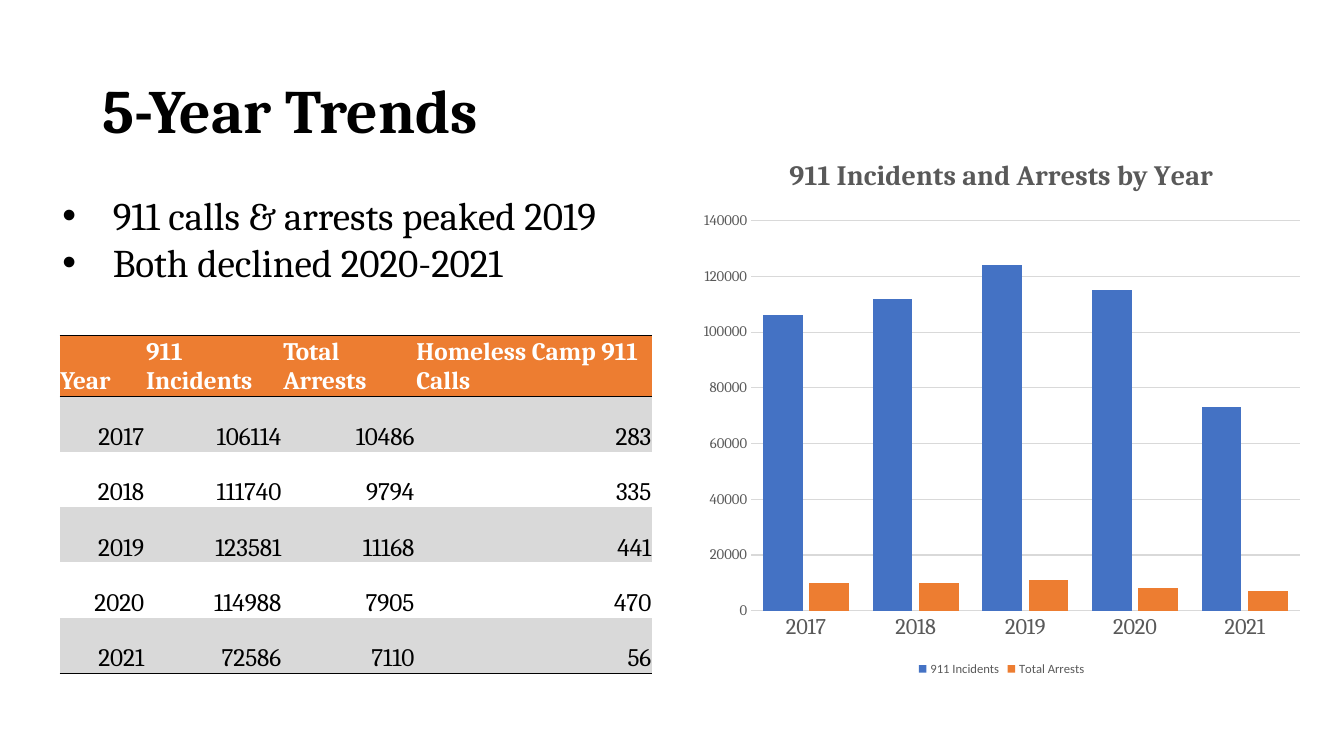
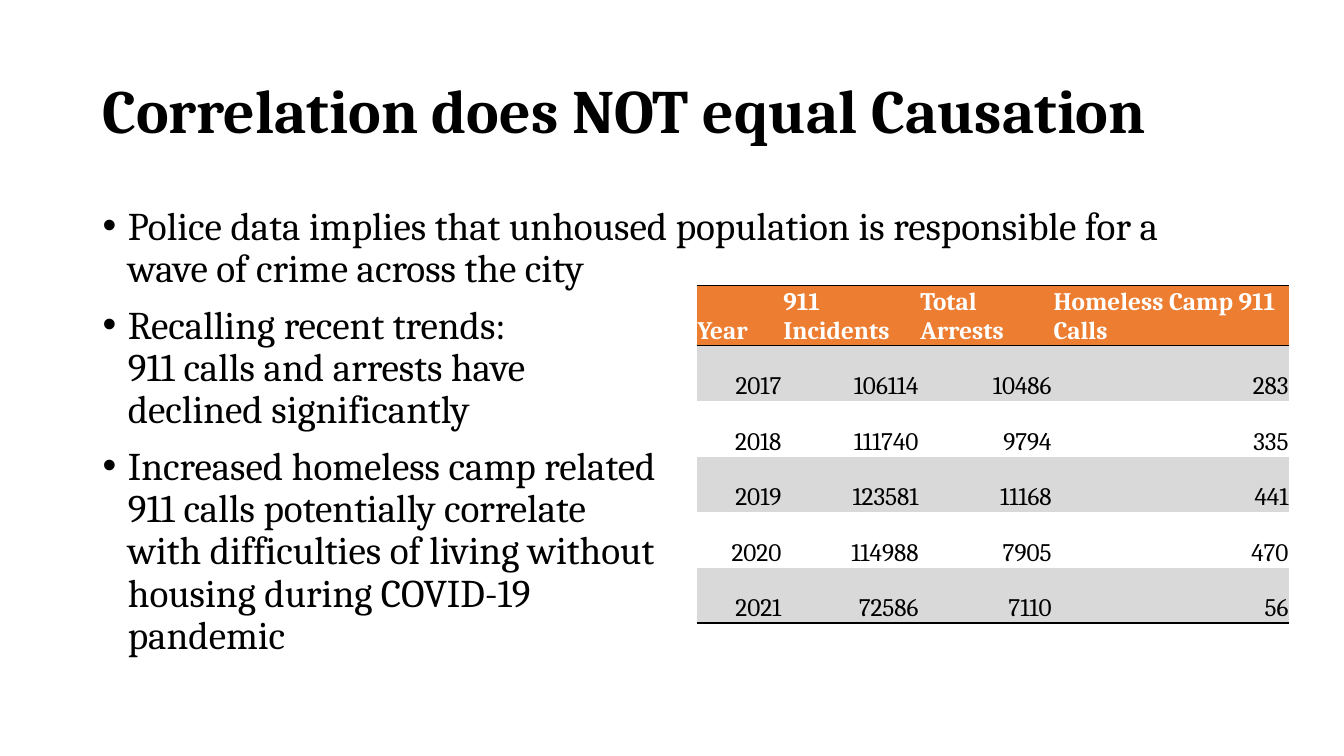
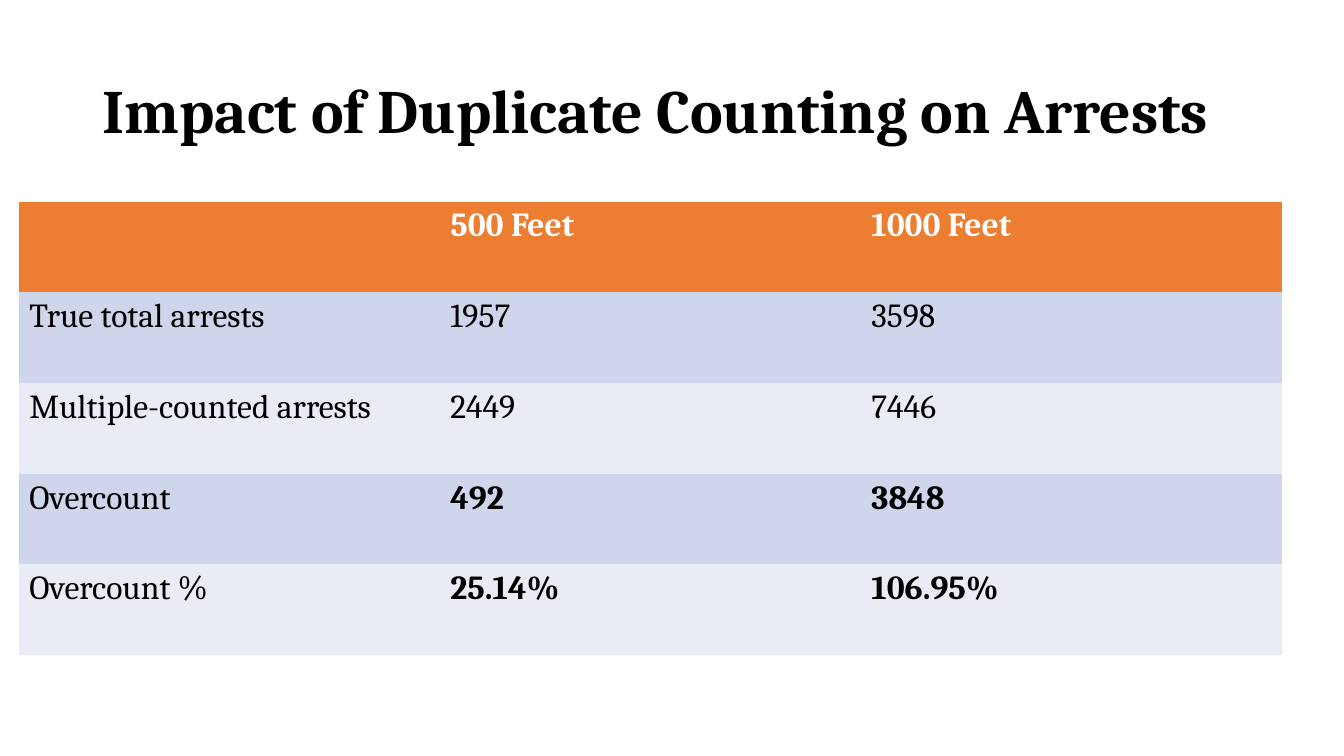
from lxml import etree
from pptx import Presentation
from pptx.chart.data import CategoryChartData
from pptx.dml.color import RGBColor
from pptx.enum.chart import XL_CHART_TYPE, XL_LEGEND_POSITION, XL_TICK_MARK
from pptx.enum.text import MSO_ANCHOR, PP_ALIGN
from pptx.oxml.ns import qn
from pptx.util import Inches, Pt

COLUMNS = XL_CHART_TYPE.COLUMN_CLUSTERED
LEGEND_BOTTOM = XL_LEGEND_POSITION.BOTTOM
NO_TICKS = XL_TICK_MARK.NONE
TOP, MIDDLE, BOTTOM = MSO_ANCHOR.TOP, MSO_ANCHOR.MIDDLE, MSO_ANCHOR.BOTTOM
LEFT, RIGHT = PP_ALIGN.LEFT, PP_ALIGN.RIGHT

FONT, LEGEND_FONT = "Cambria", "Calibri"
BLACK, WHITE, ORANGE, BLUE = "000000", "FFFFFF", "ED7D31", "4472C4"
GRAY_BAND, GRAY_TEXT = "D9D9D9", "595959"
BLUE_BANDS = ("CFD5EA", "E9EBF5")
PLAIN_TABLE_STYLE = "{2D5ABB26-0587-4C30-8999-92F81FD0307C}"
CHART_WIDTH, CHART_HEIGHT = 6.15, 5.41

TREND_HEADER = ("Year", "911 Incidents", "Total Arrests", "Homeless Camp 911 Calls")
TREND_ROWS = (
    (2017, 106114, 10486, 283),
    (2018, 111740, 9794, 335),
    (2019, 123581, 11168, 441),
    (2020, 114988, 7905, 470),
    (2021, 72586, 7110, 56),
)
OVERCOUNT_HEADER = ("", "500 Feet", "1000 Feet")
OVERCOUNT_ROWS = (
    ("True total arrests", "1957", "3598"),
    ("Multiple-counted arrests", "2449", "7446"),
    ("Overcount", "492", "3848"),
    ("Overcount %", "25.14%", "106.95%"),
)


def color(hex_string):
    return RGBColor.from_string(hex_string)


def style_font(font, size, hex_color=BLACK, name=FONT, bold=False):
    font.name, font.size, font.bold = name, Pt(size), bold
    font.color.rgb = color(hex_color)


def add_bullet(paragraph, indent):
    properties = paragraph._p.get_or_add_pPr()
    properties.set("marL", str(Inches(indent)))
    properties.set("indent", str(-Inches(indent)))
    etree.SubElement(properties, qn("a:buFont"), typeface="Arial")
    etree.SubElement(properties, qn("a:buChar"), char="•")


def write_text(frame, *texts, size, hex_color=BLACK, bold=False, align=LEFT,
               line_spacing=None, space_before=None, bullet_indent=None):
    """Write one paragraph per text; a newline inside a text is a line break."""
    for index, text in enumerate(texts):
        paragraph = frame.add_paragraph() if index else frame.paragraphs[0]
        paragraph.text = text
        paragraph.alignment = align
        if line_spacing:
            paragraph.line_spacing = line_spacing
        if space_before:
            paragraph.space_before = Pt(space_before)
        if bullet_indent:
            add_bullet(paragraph, bullet_indent)
        for run in paragraph.runs:
            style_font(run.font, size, hex_color, bold=bold)


def add_text(slide, left, top, width, height, *texts, anchor=TOP, **text_format):
    box = slide.shapes.add_textbox(Inches(left), Inches(top), Inches(width), Inches(height))
    frame = box.text_frame
    frame.word_wrap = True
    frame.vertical_anchor = anchor
    write_text(frame, *texts, **text_format)


def add_titled_slide(presentation, title):
    slide = presentation.slides.add_slide(presentation.slide_layouts[6])
    add_text(slide, 0.92, 0.4, 11.5, 1.45, title, anchor=MIDDLE, size=44, bold=True,
             line_spacing=0.9)
    return slide


def add_plain_table(slide, left, top, widths, row_height, row_count):
    frame = slide.shapes.add_table(row_count, len(widths), Inches(left), Inches(top),
                                   Inches(sum(widths)), Inches(row_height * row_count))
    next(frame._element.iter(qn("a:tableStyleId"))).text = PLAIN_TABLE_STYLE
    table = frame.table
    table.first_row = table.horz_banding = False
    for column, width in zip(table.columns, widths):
        column.width = Inches(width)
    return table


def fill_cell(cell, hex_color):
    if hex_color:
        cell.fill.solid()
        cell.fill.fore_color.rgb = color(hex_color)
    else:
        cell.fill.background()


def add_cell_border(cell, side):
    line = etree.SubElement(cell._tc.get_or_add_tcPr(), qn(f"a:{side}"), w=str(Pt(1)))
    fill = etree.SubElement(line, qn("a:solidFill"))
    etree.SubElement(fill, qn("a:srgbClr"), val=BLACK)


def add_trend_table(slide, left, top):
    rows = (TREND_HEADER, *TREND_ROWS)
    last = len(rows) - 1
    table = add_plain_table(slide, left, top, (0.85, 1.36, 1.32, 2.35), 0.55, len(rows))
    for row_index, row in enumerate(rows):
        header = row_index == 0
        band = ORANGE if header else GRAY_BAND if row_index % 2 else None
        for column_index, value in enumerate(row):
            cell = table.cell(row_index, column_index)
            cell.margin_left = cell.margin_right = Inches(0.01)
            cell.margin_top = cell.margin_bottom = 0
            cell.vertical_anchor = BOTTOM
            if header:
                add_cell_border(cell, "lnT")
            if row_index in (0, last):
                add_cell_border(cell, "lnB")
            fill_cell(cell, band)
            write_text(cell.text_frame, str(value), size=18, bold=header,
                       hex_color=WHITE if header else BLACK,
                       align=LEFT if header else RIGHT)


def add_overcount_table(slide):
    rows = (OVERCOUNT_HEADER, *OVERCOUNT_ROWS)
    table = add_plain_table(slide, 0.19, 2, (12.53 / 3,) * 3, 0.9, len(rows))
    for row_index, row in enumerate(rows):
        header = row_index == 0
        for column_index, value in enumerate(row):
            cell = table.cell(row_index, column_index)
            fill_cell(cell, ORANGE if header else BLUE_BANDS[(row_index - 1) % 2])
            result = row[0].startswith("Overcount") and column_index > 0
            write_text(cell.text_frame, value, size=24, bold=header or result,
                       hex_color=WHITE if header else BLACK)


def set_chart_layout(parent, index, left, top, width=None, height=None):
    """Place a chart part, in inches from the chart's corner; a size means the inner plot."""
    for old_layout in parent.findall(qn("c:layout")):
        parent.remove(old_layout)
    layout = etree.Element(qn("c:layout"))
    parent.insert(index, layout)
    manual = etree.SubElement(layout, qn("c:manualLayout"))
    fractions = {"x": left / CHART_WIDTH, "y": top / CHART_HEIGHT}
    if width and height:
        etree.SubElement(manual, qn("c:layoutTarget"), val="inner")
        fractions.update(w=width / CHART_WIDTH, h=height / CHART_HEIGHT)
    for key in ("x", "y"):
        etree.SubElement(manual, qn(f"c:{key}Mode"), val="edge")
    for key, value in fractions.items():
        etree.SubElement(manual, qn(f"c:{key}"), val=str(value))


def style_axes(chart):
    category_axis, value_axis = chart.category_axis, chart.value_axis
    for axis, size in ((category_axis, 16), (value_axis, 10.5)):
        axis.major_tick_mark = axis.minor_tick_mark = NO_TICKS
        style_font(axis.tick_labels.font, size, GRAY_TEXT)
    value_axis.minimum_scale, value_axis.maximum_scale = 0, 140000
    value_axis.major_unit = 20000
    value_axis.format.line.fill.background()
    for line in (category_axis.format.line, value_axis.major_gridlines.format.line):
        line.color.rgb = color(GRAY_BAND)
        line.width = Pt(0.75)


def add_trend_chart(slide):
    data = CategoryChartData()
    data.categories = [str(row[0]) for row in TREND_ROWS]
    for column in (1, 2):
        data.add_series(TREND_HEADER[column], [round(row[column], -3) for row in TREND_ROWS])
    chart = slide.shapes.add_chart(COLUMNS, Inches(6.86), Inches(1.34), Inches(CHART_WIDTH),
                                   Inches(CHART_HEIGHT), data).chart
    style_font(chart.font, 10, name=LEGEND_FONT)

    chart.has_title = True
    write_text(chart.chart_title.text_frame, "911 Incidents and Arrests by Year",
               size=20, hex_color=GRAY_TEXT, bold=True)
    set_chart_layout(chart.chart_title._element, 1, 0.92, 0.17)

    chart.has_legend = True
    chart.legend.position = LEGEND_BOTTOM
    chart.legend.include_in_layout = False
    style_font(chart.legend.font, 9, GRAY_TEXT, LEGEND_FONT)

    plot = chart.plots[0]
    plot.gap_width, plot.overlap, plot.vary_by_categories = 60, -17, False
    for series, hex_color in zip(plot.series, (BLUE, ORANGE)):
        series.format.fill.solid()
        series.format.fill.fore_color.rgb = color(hex_color)
    style_axes(chart)
    plot_area = next(chart._chartSpace.iter(qn("c:plotArea")))
    set_chart_layout(plot_area, 0, 0.59, 0.85, 5.44, 3.87)


def build_trends_slide(presentation):
    slide = add_titled_slide(presentation, "5-Year Trends")
    add_trend_table(slide, 0.59, 3.33)
    add_trend_chart(slide)
    add_text(slide, 0.52, 1.85, 6.02, 1.04, "911 calls & arrests peaked 2019",
             "Both declined 2020-2021", size=28, bullet_indent=0.5)


def build_causation_slide(presentation):
    slide = add_titled_slide(presentation, "Correlation does NOT equal Causation")
    add_text(
        slide, 0.92, 2, 11.5, 4.76,
        "Police data implies that unhoused population is responsible for a wave of crime "
        "across the city",
        "Recalling recent trends:\n911 calls and arrests have\ndeclined significantly",
        "Increased homeless camp related\n911 calls potentially correlate\n"
        "with difficulties of living without\nhousing during COVID-19\npandemic",
        size=28, line_spacing=0.9, space_before=10, bullet_indent=0.25)
    add_trend_table(slide, 6.91, 2.83)


def build_overcount_slide(presentation):
    slide = add_titled_slide(presentation, "Impact of Duplicate Counting on Arrests")
    add_overcount_table(slide)


def main():
    presentation = Presentation()
    presentation.slide_width, presentation.slide_height = Inches(13.33), Inches(7.5)
    build_trends_slide(presentation)
    build_causation_slide(presentation)
    build_overcount_slide(presentation)
    presentation.save("out.pptx")


if __name__ == "__main__":
    main()
